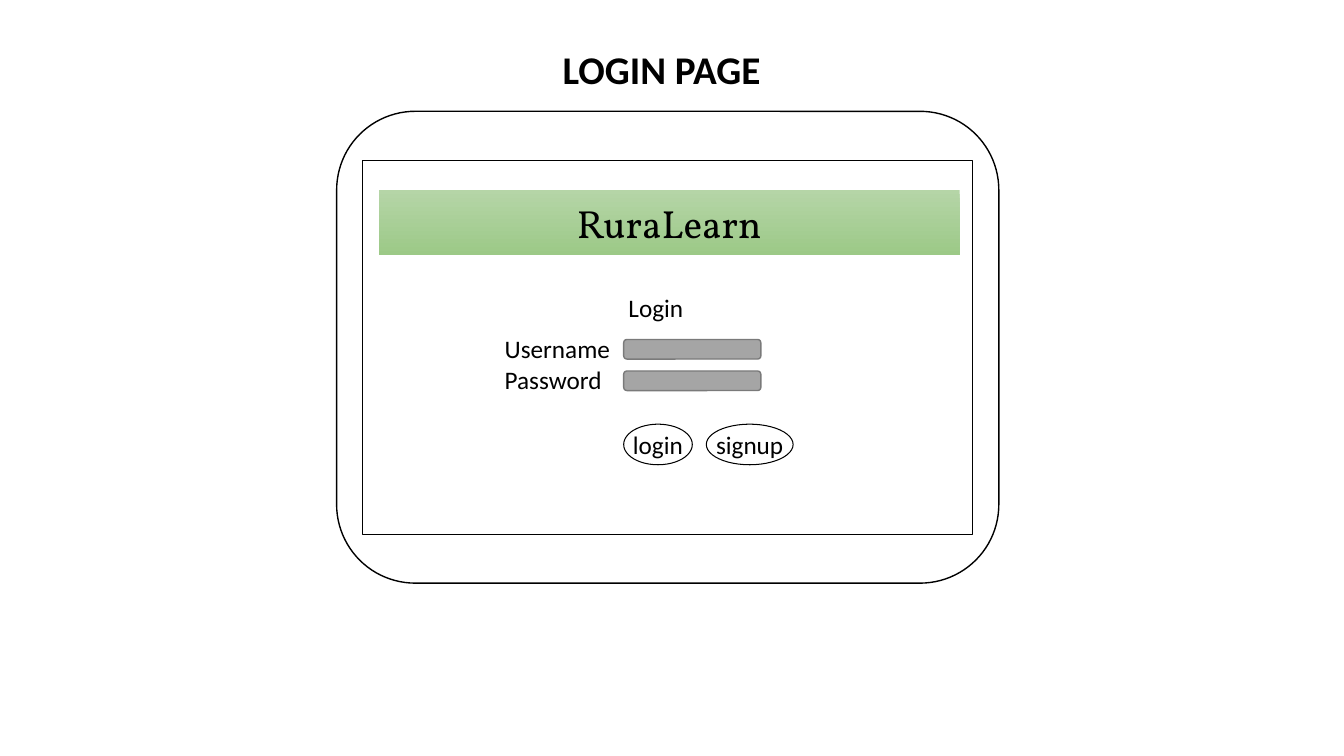
from dataclasses import dataclass

from pptx import Presentation
from pptx.dml.color import RGBColor
from pptx.enum.shapes import MSO_SHAPE
from pptx.enum.text import MSO_ANCHOR, MSO_AUTO_SIZE, PP_ALIGN
from pptx.util import Pt


@dataclass(frozen=True)
class Theme:
    """Colours, fonts and type sizes of the slide."""
    ink: str = "000000"
    paper: str = "FFFFFF"
    field: str = "A5A5A5"
    field_line: str = "7A7A7A"
    banner_top: str = "B5D5A7"
    banner_bottom: str = "9CC987"
    body_font: str = "Calibri"
    brand_font: str = "Vollkorn"
    heading_size: int = 28
    body_size: int = 18


THEME = Theme()


def color(value):
    """Return the RGB colour for a hex string."""
    return RGBColor.from_string(value)


def write_text(shape, text, size=THEME.body_size, font=THEME.body_font,
               align=PP_ALIGN.CENTER, bold=False):
    """Put text into a shape, without margins, and format its runs."""
    frame = shape.text_frame
    frame.text = text
    frame.word_wrap = False
    frame.auto_size = MSO_AUTO_SIZE.NONE
    frame.vertical_anchor = MSO_ANCHOR.MIDDLE
    frame.margin_left = frame.margin_right = 0
    frame.margin_top = frame.margin_bottom = 0
    for paragraph in frame.paragraphs:
        paragraph.alignment = align
        paragraph.line_spacing = 1.0
        for run in paragraph.runs:
            run.font.name = font
            run.font.size = Pt(size)
            run.font.bold = bold
            run.font.color.rgb = color(THEME.ink)


def add_title(slide, text, box):
    """Place and fill the title placeholder."""
    title = slide.shapes.title
    title.left, title.top, title.width, title.height = map(Pt, box)
    write_text(title, text, THEME.heading_size, bold=True)


def add_panel(slide, kind, box, fill=None, line=THEME.ink, line_width=0.75):
    """Add a preset shape with an optional solid fill and outline."""
    shape = slide.shapes.add_shape(kind, *map(Pt, box))
    shape.shadow.inherit = False
    if fill:
        shape.fill.solid()
        shape.fill.fore_color.rgb = color(fill)
    else:
        shape.fill.background()
    if line:
        shape.line.color.rgb = color(line)
        shape.line.width = Pt(line_width)
    else:
        shape.line.fill.background()
    return shape


def add_banner(slide, text, box):
    """Add the site banner with its top-to-bottom gradient."""
    banner = add_panel(slide, MSO_SHAPE.RECTANGLE, box, line=None)
    banner.fill.gradient()
    banner.fill.gradient_angle = 270
    shades = (THEME.banner_top, THEME.banner_bottom)
    for stop, shade, position in zip(banner.fill.gradient_stops, shades, (0, 1)):
        stop.color.rgb = color(shade)
        stop.position = position
    write_text(banner, text, THEME.heading_size, THEME.brand_font)


def add_label(slide, text, box, align):
    """Add a plain text box."""
    label = slide.shapes.add_textbox(*map(Pt, box))
    write_text(label, text, align=align)


def add_field(slide, box):
    """Add an empty input field."""
    add_panel(slide, MSO_SHAPE.ROUNDED_RECTANGLE, box,
              THEME.field, THEME.field_line, 1)


def add_button(slide, text, box):
    """Add an oval button with its caption."""
    button = add_panel(slide, MSO_SHAPE.OVAL, box)
    write_text(button, text)


def main():
    """Build the login page slide and save it."""
    presentation = Presentation()
    presentation.slide_width, presentation.slide_height = Pt(960), Pt(540)
    slide = presentation.slides.add_slide(presentation.slide_layouts[5])

    add_title(slide, "LOGIN PAGE", (259, 29, 427, 41))
    add_panel(slide, MSO_SHAPE.ROUNDED_RECTANGLE, (240.5, 79.5, 473, 337),
              THEME.paper, line_width=1)
    add_panel(slide, MSO_SHAPE.RECTANGLE, (259, 114.5, 436, 267))
    add_banner(slide, "RuraLearn", (270.5, 136, 415, 46))

    add_label(slide, "Login", (409, 205, 119, 29), PP_ALIGN.CENTER)
    add_label(slide, "Username\nPassword", (360.5, 235, 78, 50), PP_ALIGN.LEFT)
    field_left, field_top, field_step = 445.5, 242.5, 22.5
    for row in range(2):
        add_field(slide, (field_left, field_top + row * field_step, 98, 14))

    button_left, button_gap = field_left, 10
    for caption, width in (("login", 49), ("signup", 62)):
        add_button(slide, caption, (button_left, 303, width, 29))
        button_left += width + button_gap

    presentation.save("out.pptx")


main()
